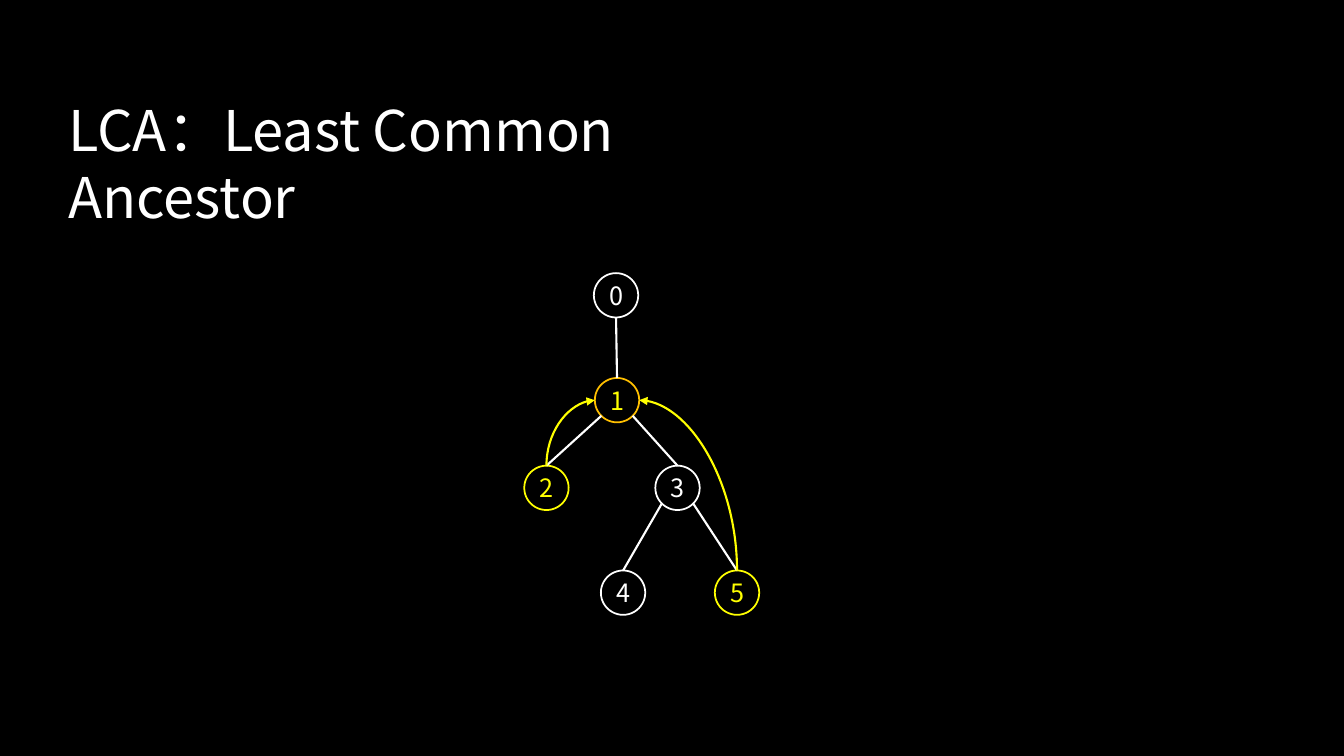
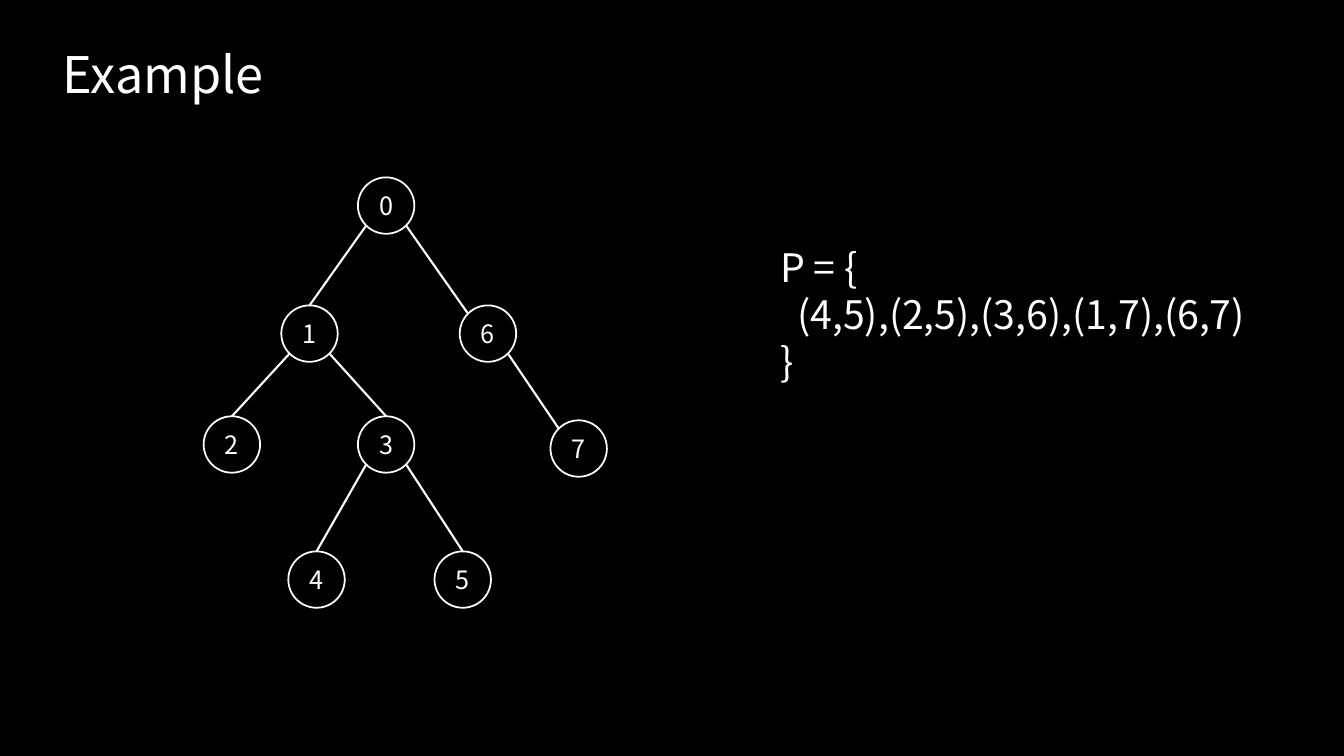
import math

import pptx
import pptx.dml.color
import pptx.enum.shapes
import pptx.enum.text
import pptx.oxml.ns
import pptx.util
from lxml import etree

Inches = pptx.util.Inches
Pt = pptx.util.Pt
qn = pptx.oxml.ns.qn
RGBColor = pptx.dml.color.RGBColor
ALIGN = pptx.enum.text.PP_ALIGN
ANCHOR = pptx.enum.text.MSO_ANCHOR
CONNECTOR = pptx.enum.shapes.MSO_CONNECTOR

FONT = "Noto Sans CJK SC"
LINE_HEIGHT = 1.2
COLORS = {
    "background": "000000",
    "plain": "FFFFFF",
    "query": "FFFF00",
    "ancestor": "FFC000",
}
TOP, TOP_LEFT, LEFT, LOWER_LEFT, BOTTOM, LOWER_RIGHT, RIGHT = range(7)


def write(paragraph, text, size, color="plain"):
    run = paragraph.add_run()
    run.text = text
    run.font.name = FONT
    run.font.size = Pt(size)
    run.font.color.rgb = RGBColor.from_string(COLORS[color])
    east_asian = etree.SubElement(run.font._element, qn("a:ea"))
    east_asian.set("typeface", FONT)


def site_point(corner, diameter, site):
    angle = math.radians(90 + 45 * site)
    radius = diameter / 2
    return (
        Inches(corner[0] + radius + radius * math.cos(angle)),
        Inches(corner[1] + radius - radius * math.sin(angle)),
    )


trees = [
    {
        "title": "LCA：Least Common Ancestor",
        "title_box": (0.58, 0.9, 7.75, 0.77),
        "title_size": 40,
        "diameter": 0.44,
        "nodes": {
            "0": (5.89, 2.71),
            "1": (5.9, 3.75),
            "2": (5.2, 4.62),
            "3": (6.5, 4.62),
            "4": (5.96, 5.66),
            "5": (7.09, 5.66),
        },
        "outlines": {"1": "ancestor", "2": "query", "5": "query"},
        "labels": {"1": "query", "2": "query", "5": "query"},
        "edges": [
            ("0", BOTTOM, "1", TOP),
            ("1", LOWER_LEFT, "2", TOP),
            ("1", LOWER_RIGHT, "3", TOP),
            ("3", LOWER_LEFT, "4", TOP),
            ("3", LOWER_RIGHT, "5", TOP),
        ],
        "climbs": [("1", LEFT, "2", TOP), ("1", RIGHT, "5", TOP)],
    },
    {
        "title": "Example",
        "title_box": (0.52, 0.38, 2.85, 0.71),
        "title_size": 36,
        "diameter": 0.56,
        "nodes": {
            "0": (3.55, 1.76),
            "1": (2.79, 3.03),
            "2": (2.02, 4.13),
            "3": (3.55, 4.13),
            "4": (2.86, 5.47),
            "5": (4.31, 5.47),
            "6": (4.56, 3.03),
            "7": (5.46, 4.17),
        },
        "outlines": {},
        "labels": {},
        "edges": [
            ("0", LOWER_LEFT, "1", TOP),
            ("0", LOWER_RIGHT, "6", TOP_LEFT),
            ("1", LOWER_LEFT, "2", TOP),
            ("1", LOWER_RIGHT, "3", TOP),
            ("3", LOWER_LEFT, "4", TOP),
            ("3", LOWER_RIGHT, "5", TOP),
            ("6", LOWER_RIGHT, "7", TOP_LEFT),
        ],
        "climbs": [],
    },
]

deck = pptx.Presentation()
deck.slide_width = Inches(13.33)
deck.slide_height = Inches(7.5)
backdrop = deck.slide_master.background.fill
backdrop.solid()
backdrop.fore_color.rgb = RGBColor.from_string(COLORS["background"])

for tree in trees:
    slide = deck.slides.add_slide(deck.slide_layouts[5])
    title = slide.shapes.title
    title.left, title.top, title.width, title.height = map(Inches, tree["title_box"])
    title.text_frame.auto_size = pptx.enum.text.MSO_AUTO_SIZE.NONE
    title.text_frame.word_wrap = True
    title.text_frame.vertical_anchor = ANCHOR.TOP
    heading = title.text_frame.paragraphs[0]
    heading.alignment = ALIGN.LEFT
    heading.line_spacing = Pt(tree["title_size"] * LINE_HEIGHT)
    write(heading, tree["title"], tree["title_size"])

    diameter = tree["diameter"]
    nodes = {}
    for label, corner in tree["nodes"].items():
        node = slide.shapes.add_shape(
            pptx.enum.shapes.MSO_SHAPE.OVAL,
            *map(Inches, (*corner, diameter, diameter)),
        )
        node.shadow.inherit = False
        node.fill.background()
        outline = tree["outlines"].get(label, "plain")
        node.line.color.rgb = RGBColor.from_string(COLORS[outline])
        node.line.width = Pt(1.25)
        frame = node.text_frame
        frame.margin_left = frame.margin_right = 0
        frame.margin_top = frame.margin_bottom = 0
        frame.word_wrap = False
        frame.vertical_anchor = ANCHOR.MIDDLE
        frame.paragraphs[0].alignment = ALIGN.CENTER
        write(frame.paragraphs[0], label, 18, tree["labels"].get(label, "plain"))
        nodes[label] = node

    links = [(edge, False) for edge in tree["edges"]]
    links += [(climb, True) for climb in tree["climbs"]]
    for (parent, parent_site, child, child_site), is_climb in links:
        link = slide.shapes.add_connector(
            CONNECTOR.CURVE if is_climb else CONNECTOR.STRAIGHT,
            *site_point(tree["nodes"][parent], diameter, parent_site),
            *site_point(tree["nodes"][child], diameter, child_site),
        )
        link.line.width = Pt(1.5)
        link.line.color.rgb = RGBColor.from_string(
            COLORS["query" if is_climb else "plain"]
        )
        properties = link._element.spPr
        if is_climb:
            properties.find(qn("a:prstGeom")).set("prst", "curvedConnector2")
            arrow = etree.SubElement(properties.find(qn("a:ln")), qn("a:headEnd"))
            arrow.set("type", "triangle")
        etree.SubElement(properties, qn("a:effectLst"))
        joints = link._element.nvCxnSpPr.cNvCxnSpPr
        for tag, label, site in (
            ("a:stCxn", parent, parent_site),
            ("a:endCxn", child, child_site),
        ):
            joint = etree.SubElement(joints, qn(tag))
            joint.set("id", str(nodes[label].shape_id))
            joint.set("idx", str(site))

pairs = slide.shapes.add_textbox(*map(Inches, (7.64, 2.36, 5, 1.51))).text_frame
pairs.word_wrap = True
pair_lines = [("P = {", 0), ("(4,5),(2,5),(3,6),(1,7),(6,7)", 0.17), ("}", 0)]
for index, (text, indent) in enumerate(pair_lines):
    line = pairs.add_paragraph() if index else pairs.paragraphs[0]
    line.line_spacing = Pt(28 * LINE_HEIGHT)
    line._p.get_or_add_pPr().set("marL", str(Inches(indent)))
    write(line, text, 28)

deck.save("out.pptx")
